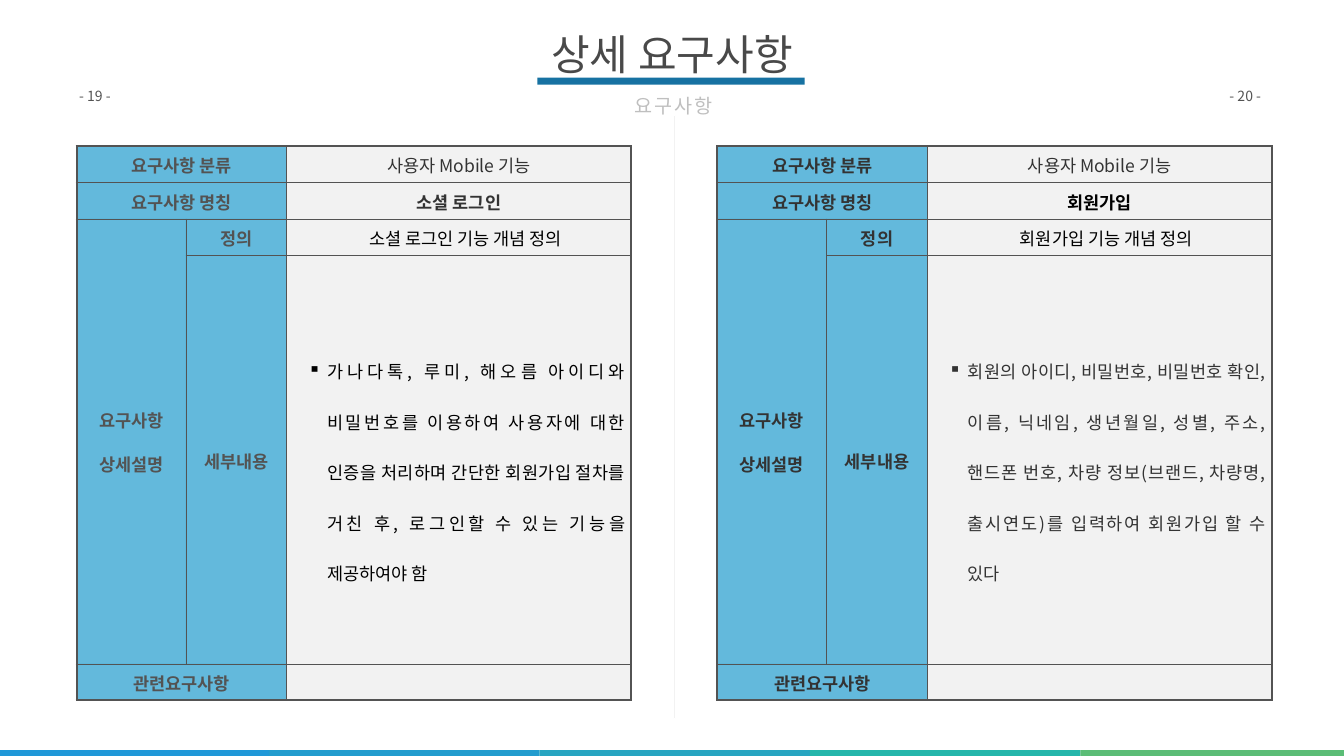
from dataclasses import dataclass

from lxml.etree import SubElement
from pptx import Presentation
from pptx.dml.color import RGBColor
from pptx.enum.shapes import MSO_SHAPE
from pptx.enum.text import MSO_ANCHOR, MSO_AUTO_SIZE, PP_ALIGN
from pptx.oxml.ns import qn
from pptx.util import Cm, Pt


@dataclass(frozen=True)
class Theme:
    font: str = "Noto Sans CJK KR"
    title: str = "494949"
    subtitle: str = "BFBFBF"
    accent: str = "1772A2"
    label_fill: str = "229CCE"
    label_opacity: int = 70
    value_fill: str = "F2F2F2"
    white: str = "FFFFFF"
    gray: str = "535353"
    dark: str = "333333"
    black: str = "000000"
    footer: tuple = ("1F98D8", "229CCE", "27A5C1", "24B6AB", "5BBD76")
    title_size: int = 60
    subtitle_size: int = 28
    cell_size: int = 25
    page_size: int = 20
    outer_line: float = 3
    value_line: float = 2.25
    inner_line: float = 1


T = Theme()

COLUMNS = (5.51, 5.08, 17.35)
ROWS = (1.83, 1.83, 1.83, 20.6, 1.83)
TABLE_TOP = 7.37

# First row, first column, last row, last column, lines of the label
LABELS = (
    (0, 0, 0, 1, ["요구사항 분류"]),
    (1, 0, 1, 1, ["요구사항 명칭"]),
    (2, 0, 3, 0, ["요구사항", "상세설명"]),
    (2, 1, 2, 1, ["정의"]),
    (3, 1, 3, 1, ["세부내용"]),
    (4, 0, 4, 1, ["관련요구사항"]),
)


def rgb(color):
    return RGBColor.from_string(color)


def add_run(p, text, size, color, bold=False, spacing=None):
    r = p.add_run()
    r.text = text
    r.font.size = Pt(size)
    r.font.bold = bold
    r.font.name = T.font
    r.font.color.rgb = rgb(color)
    rPr = r.font._element
    SubElement(rPr, qn("a:ea")).set("typeface", T.font)
    if spacing:
        rPr.set("spc", str(spacing * 100))


def add_rect(s, left, top, width, height, fill, line=None):
    sp = s.shapes.add_shape(MSO_SHAPE.RECTANGLE, Cm(left), Cm(top), Cm(width), Cm(height))
    sp.shadow.inherit = False
    sp.fill.solid()
    sp.fill.fore_color.rgb = rgb(fill)
    if line:
        sp.line.color.rgb = rgb(line)
        sp.line.width = Pt(1)
    else:
        sp.line.fill.background()


def add_text(s, box, text, size, color, insets, align=PP_ALIGN.LEFT,
             anchor=MSO_ANCHOR.TOP, wrap=True, line_spacing=None, spacing=None):
    sp = s.shapes.add_textbox(*(Cm(v) for v in box))
    tf = sp.text_frame
    tf.word_wrap = wrap
    tf.auto_size = MSO_AUTO_SIZE.SHAPE_TO_FIT_TEXT
    tf.vertical_anchor = anchor
    tf.margin_left = tf.margin_right = Cm(insets[0])
    tf.margin_top = tf.margin_bottom = Cm(insets[1])
    p = tf.paragraphs[0]
    p.alignment = align
    if line_spacing:
        p.line_spacing = line_spacing
    add_run(p, text, size, color, spacing=spacing)


def style_cell(cell, row, col, last_row, last_col):
    """Set borders by place in the grid, then the fill and the margins."""
    def edge(at_rim, at_value=False):
        return T.outer_line if at_rim else T.value_line if at_value else T.inner_line

    tcPr = cell._tc.get_or_add_tcPr()
    widths = {
        "a:lnL": edge(col == 0, col == 2),
        "a:lnR": edge(last_col == 2, last_col == 1),
        "a:lnT": edge(row == 0),
        "a:lnB": edge(last_row == len(ROWS) - 1),
    }
    for tag, width in widths.items():
        ln = SubElement(tcPr, qn(tag), w=str(int(Pt(width))))
        SubElement(SubElement(ln, qn("a:solidFill")), qn("a:srgbClr"), val=T.gray)

    is_value = col == 2
    cell.fill.solid()
    cell.fill.fore_color.rgb = rgb(T.value_fill if is_value else T.label_fill)
    if not is_value:
        clr = tcPr.find(qn("a:solidFill")).find(qn("a:srgbClr"))
        SubElement(clr, qn("a:alpha"), val=str(T.label_opacity * 1000))
    cell.vertical_anchor = MSO_ANCHOR.MIDDLE
    cell.margin_left = cell.margin_right = Cm(0.03)
    cell.margin_top = cell.margin_bottom = Cm(0.03)


def write_cell(cell, lines, color, bold=False, indent=None, bullet=None):
    tf = cell.text_frame
    for i, line in enumerate(lines):
        p = tf.add_paragraph() if i else tf.paragraphs[0]
        pPr = p._p.get_or_add_pPr()
        if indent:
            pPr.set("marL", str(int(Cm(indent[0]))))
            pPr.set("indent", str(int(Cm(indent[1]))))
        if bullet:
            SubElement(pPr, qn("a:buChar"), char=bullet)
            cell.margin_right = Cm(0.3)
        p.alignment = PP_ALIGN.JUSTIFY if bullet else PP_ALIGN.CENTER
        p.line_spacing = 2.0 if bullet else 1.07
        if i:
            p.space_before = Pt(24)
        add_run(p, line, T.cell_size, color, bold)


def add_requirement(s, left, label_color, values):
    """Draw one requirement table; values are (text, colour) from the top row down."""
    table = s.shapes.add_table(len(ROWS), len(COLUMNS), Cm(left), Cm(TABLE_TOP),
                               Cm(sum(COLUMNS)), Cm(sum(ROWS))).table
    table.first_row = table.horz_banding = False
    for column, width in zip(table.columns, COLUMNS):
        column.width = Cm(width)
    for row, height in zip(table.rows, ROWS):
        row.height = Cm(height)

    # Label columns
    for top, first, bottom, last, lines in LABELS:
        for r in range(top, bottom + 1):
            for c in range(first, last + 1):
                style_cell(table.cell(r, c), r, c, bottom, last)
        cell = table.cell(top, first)
        if (top, first) != (bottom, last):
            cell.merge(table.cell(bottom, last))
        write_cell(cell, lines, label_color, bold=True)

    # Value column
    for r in range(len(ROWS)):
        style_cell(table.cell(r, 2), r, 2, r, 2)
    formats = ({}, {"bold": True, "indent": (0.48, -0.48)}, {"indent": (1.19, -0.53)},
               {"indent": (2.01, -0.97), "bullet": "▪"})
    for r, ((text, color), fmt) in enumerate(zip(values, formats)):
        write_cell(table.cell(r, 2), [text], color, **fmt)


def main():
    prs = Presentation()
    prs.slide_width, prs.slide_height = Cm(67.72), Cm(38.1)
    s = prs.slides.add_slide(prs.slide_layouts[6])

    # Footer band
    for i, color in enumerate(T.footer):
        add_rect(s, -0.08 + i * 13.63, 37.8, 13.63, 0.5, color)

    # Requirement tables with a divider between them
    add_requirement(s, 3.86, T.gray, (
        ("사용자 Mobile 기능", T.dark),
        ("소셜 로그인", T.dark),
        ("소셜 로그인 기능 개념 정의", T.black),
        ("가나다톡, 루미, 해오름 아이디와 비밀번호를 이용하여 사용자에 대한 인증을 처리하며 "
         "간단한 회원가입 절차를 거친 후, 로그인할 수 있는 기능을 제공하여야 함", T.black),
    ))
    add_rect(s, 33.92, 5.83, 0.13, 30.38, T.value_fill, T.white)
    add_requirement(s, 36.14, T.dark, (
        ("사용자 Mobile 기능", T.dark),
        ("회원가입", T.black),
        ("회원가입 기능 개념 정의", T.black),
        ("회원의 아이디, 비밀번호, 비밀번호 확인, 이름, 닉네임, 생년월일, 성별, 주소, 핸드폰 번호, "
         "차량 정보(브랜드, 차량명, 출시연도)를 입력하여 회원가입 할 수 있다", T.dark),
    ))

    # Page numbers
    for left, width, text in ((3.86, 2.39, "- 19 -"), (61.82, 2.29, "- 20 -")):
        add_text(s, (left, 4.27, width, 1.12), text, T.page_size, T.gray, (0.13, 0.13))

    # Title, underline and subtitle
    add_text(s, (26.75, 1.12, 14.22, 3.15), "상세 요구사항", T.title_size, T.title,
             (0.3, 0.3), PP_ALIGN.CENTER, MSO_ANCHOR.MIDDLE)
    add_rect(s, 27.08, 3.91, 13.46, 0.36, T.accent)
    add_text(s, (31.32, 4.19, 5.21, 1.98), "요구사항", T.subtitle_size, T.subtitle,
             (0.61, 0.3), PP_ALIGN.CENTER, wrap=False, line_spacing=1.2, spacing=3)

    prs.save("out.pptx")


if __name__ == "__main__":
    main()
